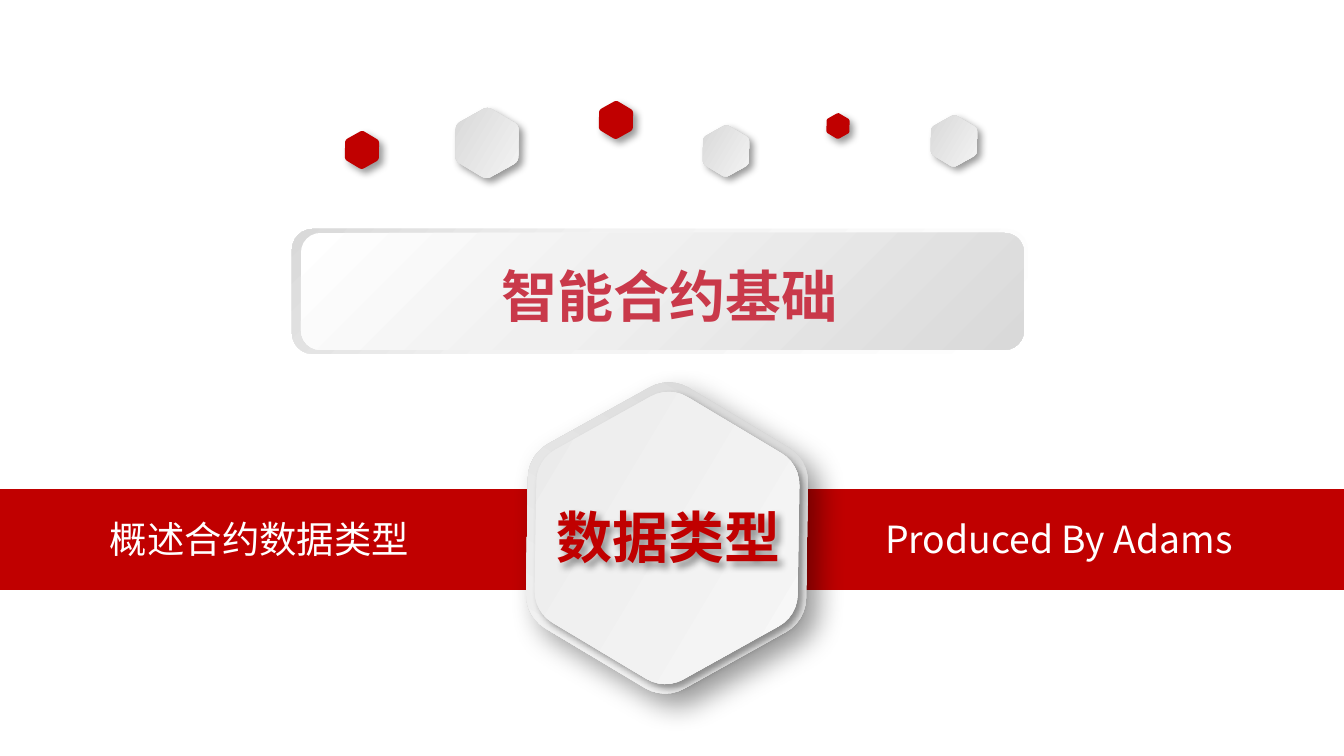
from math import cos, radians, sin, sqrt

from lxml import etree
from pptx import Presentation
from pptx.dml.color import RGBColor
from pptx.enum.shapes import MSO_SHAPE
from pptx.enum.text import MSO_ANCHOR, PP_ALIGN
from pptx.oxml import parse_xml
from pptx.oxml.ns import qn
from pptx.util import Pt

PX = 914400 / 134.4
NS = 'xmlns:a="http://schemas.openxmlformats.org/drawingml/2006/main"'
FONT = "Noto Sans CJK SC"
RECT, ROUND = MSO_SHAPE.RECTANGLE, MSO_SHAPE.ROUNDED_RECTANGLE
LEFT, CENTER = PP_ALIGN.LEFT, PP_ALIGN.CENTER
TILT = 30.9

COLORS = {"red": "C00000", "rose": "C9394A", "white": "FFFFFF"}
# Gradient stops and counterclockwise angle
GRADS = {
    "silver": ([(0, "D3D3D3"), (100, "F9F9F9")], 0),
    "rim": ([(0, "D3D3D3"), (100, "F9F9F9")], 270),
    "face": ([(0, "E9E9E9"), (100, "F9F9F9")], 0),
    "frame": ([(0, "FFFFFF"), (62, "F2F2F2"), (100, "D9D9D9")], 135),
    "panel": ([(0, "FFFFFF"), (42, "F0F0F0"), (100, "D9D9D9")], 315),
}
# Shadow blur and distance in points
SOFT, DEEP = (4, 3), (15, 9)

BAND = (RECT, (0, 489, 1344, 101), "red")
BARS = [
    (ROUND, (292, 229, 736, 125), "frame"),
    (ROUND, (301, 233, 723, 117), "panel"),
]
# Centre x, centre y, height across flats, fill, shadow
HEXES = [
    (487, 143, 63, "silver", SOFT),
    (616, 120, 34, "red", SOFT),
    (362, 150, 34, "red", SOFT),
    (726, 151, 46, "silver", SOFT),
    (838, 126, 23, "red", SOFT),
    (954, 141, 46, "silver", SOFT),
    (667, 538, 280, "rim", DEEP),
    (667, 538, 263, "face", SOFT),
]
# Text, box, size, colour, bold, alignment
TEXTS = [
    ("概述合约数据类型", (23, 509, 473, 59), 20, "white", False, CENTER),
    ("Produced By Adams", (872, 509, 470, 59), 20, "white", False, LEFT),
    ("智能合约基础", (302, 255, 736, 81), 30, "rose", True, CENTER),
]
LABEL = ("数据类型", (536, 503, 265, 67), 30, "red", True, CENTER)


def emu(box):
    return [round(v * PX) for v in box]


def paint(shape, fill):
    shape.shadow.inherit = False
    shape.line.fill.background()
    if fill in COLORS:
        shape.fill.solid()
        shape.fill.fore_color.rgb = RGBColor.from_string(COLORS[fill])
        return
    stops, angle = GRADS[fill]
    shape.fill.gradient()
    shape.fill.gradient_angle = angle
    marks = "".join(
        f'<a:gs pos="{pos * 1000}"><a:srgbClr val="{tone}"/></a:gs>'
        for pos, tone in stops)
    old = shape._element.spPr.find(".//" + qn("a:gsLst"))
    old.getparent().replace(old, parse_xml(f"<a:gsLst {NS}>{marks}</a:gsLst>"))


def cast(shape, blur, dist):
    """Add a shadow that falls to the lower right."""
    shape.shadow.inherit = False
    effects = shape._element.spPr.find(qn("a:effectLst"))
    effects.append(parse_xml(
        f'<a:outerShdw {NS} blurRad="{Pt(blur)}" dist="{Pt(dist)}" dir="2700000" '
        'algn="tl" rotWithShape="0"><a:srgbClr val="000000">'
        '<a:alpha val="40000"/></a:srgbClr></a:outerShdw>'))


def add_block(shapes, kind, box, fill):
    paint(shapes.add_shape(kind, *emu(box)), fill)


def add_hex(shapes, x, y, height, fill, shadow):
    """Draw a tilted hexagon whose corners are rounded by short arcs."""
    side = height / sqrt(3)
    trim = 0.14 * side
    arc, reach = trim * sqrt(3), side - 2 * trim
    points = []
    for turn in range(0, 360, 60):
        for step in range(-30, 31, 10):
            a, b = radians(turn), radians(turn + step)
            points.append(emu((x + reach * cos(a) + arc * cos(b),
                               y + reach * sin(a) + arc * sin(b))))
    pen = shapes.build_freeform(*points[0])
    pen.add_line_segments(points[1:], close=True)
    shape = pen.convert_to_shape()
    shape.rotation = TILT
    paint(shape, fill)
    cast(shape, *shadow)


def write(shape, text, size, color, bold, align):
    frame = shape.text_frame
    frame.text = text
    frame.word_wrap = True
    frame.margin_top = frame.margin_bottom = 0
    frame.vertical_anchor = MSO_ANCHOR.MIDDLE
    para = frame.paragraphs[0]
    para.alignment = align
    font = para.runs[0].font
    font.size, font.bold, font.name = Pt(size), bold, FONT
    font.color.rgb = RGBColor.from_string(COLORS[color])
    etree.SubElement(font._element, qn("a:ea")).set("typeface", FONT)


def main():
    deck = Presentation()
    deck.slide_width, deck.slide_height = emu((1344, 756))
    shapes = deck.slides.add_slide(deck.slide_layouts[6]).shapes

    add_block(shapes, *BAND)
    for item in HEXES:
        add_hex(shapes, *item)
    for bar in BARS:
        add_block(shapes, *bar)
    for text, box, *style in TEXTS:
        write(shapes.add_textbox(*emu(box)), text, *style)

    text, box, *style = LABEL
    label = shapes.add_shape(ROUND, *emu(box))
    label.fill.background()
    label.line.fill.background()
    cast(label, *SOFT)
    write(label, text, *style)

    deck.save("out.pptx")


if __name__ == "__main__":
    main()
